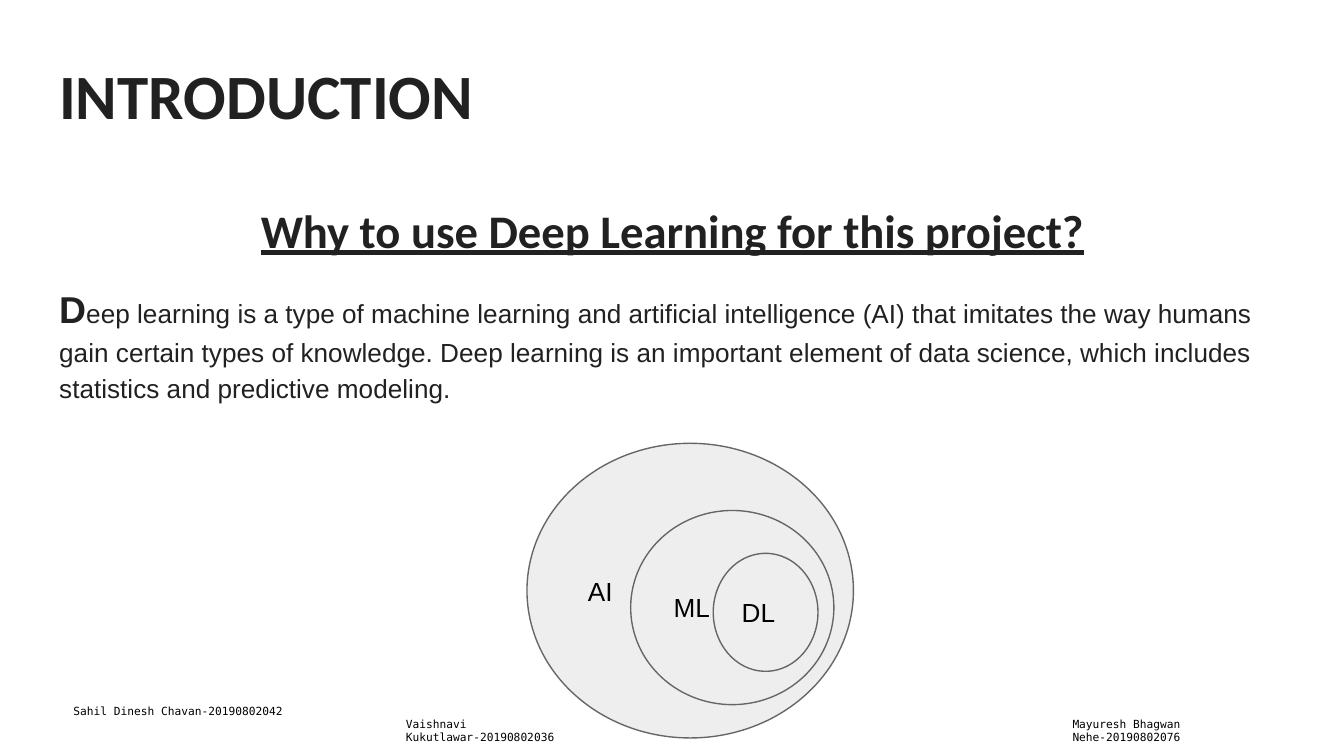
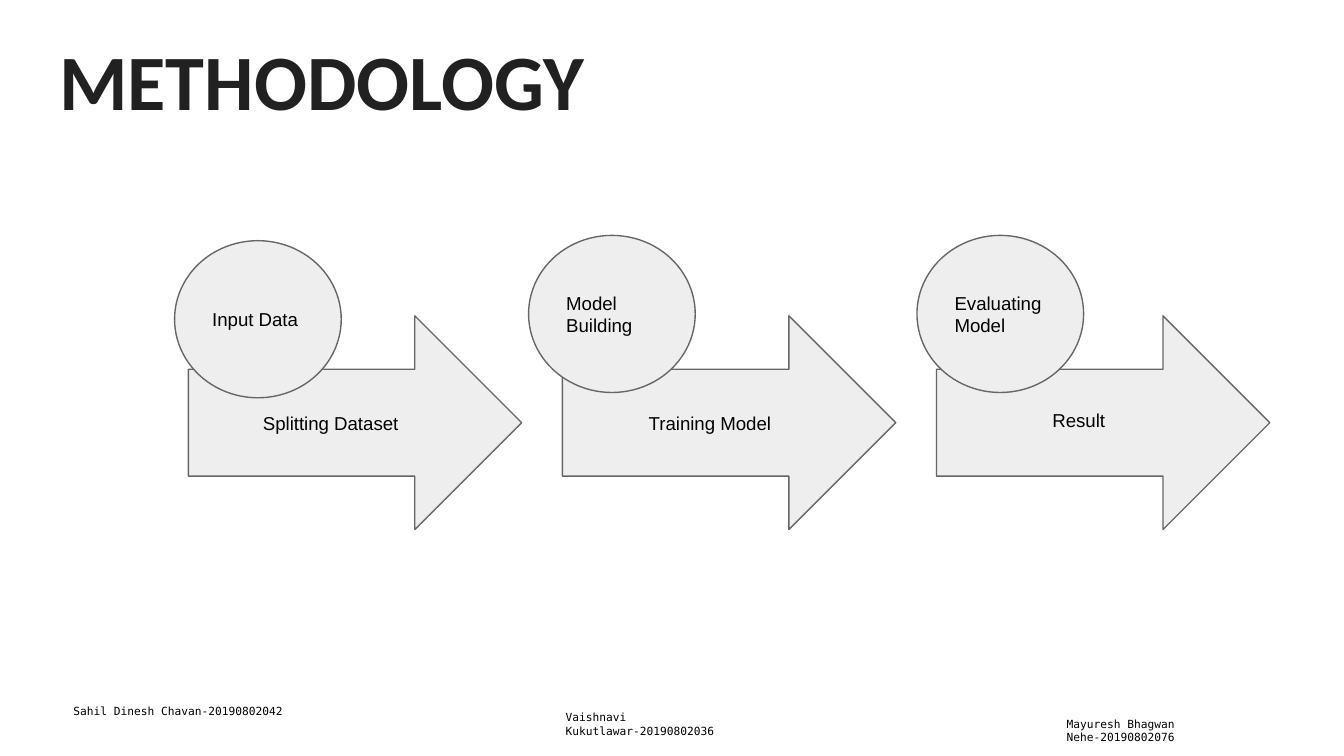
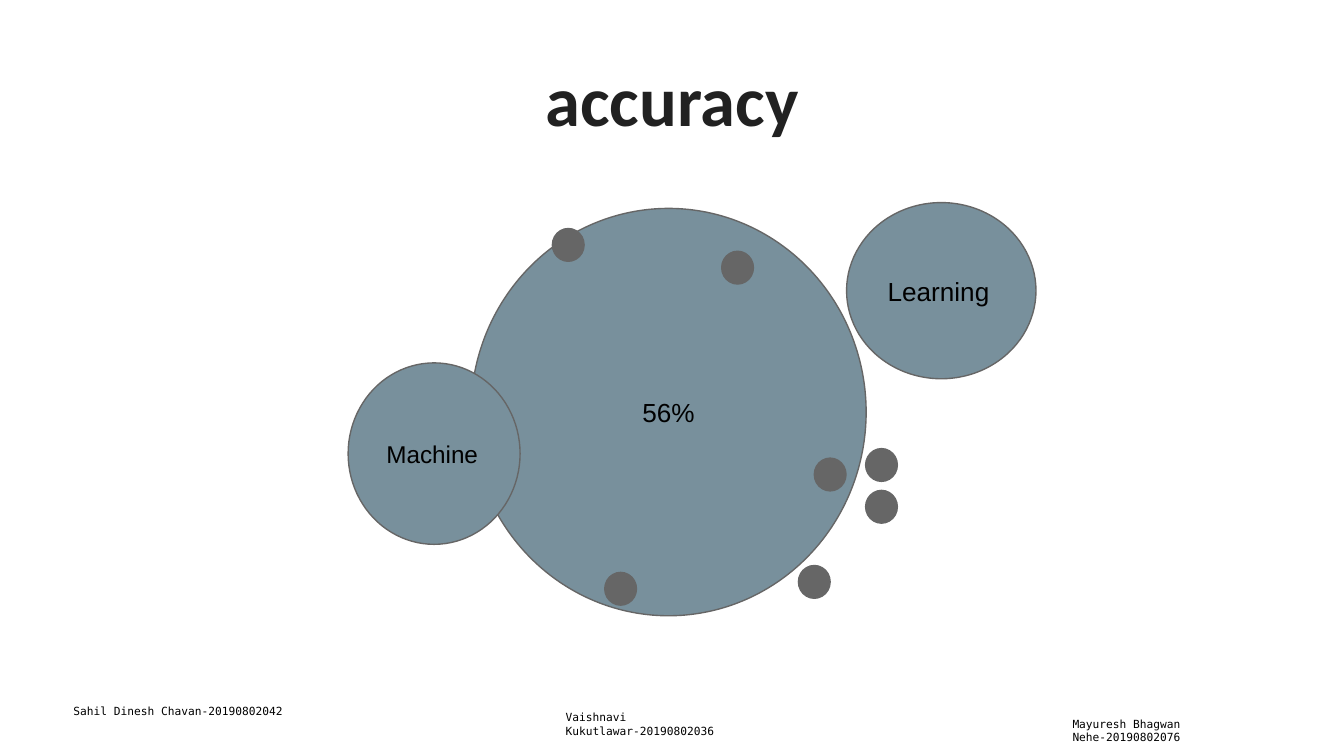
from dataclasses import dataclass

from pptx import Presentation
from pptx.dml.color import RGBColor
from pptx.enum.shapes import MSO_SHAPE
from pptx.enum.text import MSO_ANCHOR, PP_ALIGN
from pptx.util import Cm, Pt


@dataclass(frozen=True)
class Theme:
    ink: str = "212121"
    black: str = "000000"
    pale: str = "EEEEEE"
    slate: str = "78909C"
    gray: str = "666666"
    head: str = "Calibri"
    text: str = "Arial"
    mono: str = "DejaVu Sans Mono"
    title: float = 33.8
    large: float = 42
    accent: float = 37.8
    ask: float = 25
    cap: float = 20
    body: float = 14
    mid: float = 13
    small: float = 10
    foot: float = 6


T = Theme()


def draw(slide, kind, box, fill=None):
    """Add a preset shape, or a text box if kind is None; box is in cm."""
    place = [Cm(n) for n in box]
    if kind is None:
        shape = slide.shapes.add_textbox(*place)
    else:
        shape = slide.shapes.add_shape(kind, *place)
        shape.shadow.inherit = False
        shape.fill.solid()
        shape.fill.fore_color.rgb = RGBColor.from_string(fill)
        shape.line.color.rgb = RGBColor.from_string(T.gray)
        shape.line.width = Pt(0.75)
    frame = shape.text_frame
    frame.word_wrap = True
    frame.vertical_anchor = MSO_ANCHOR.TOP if kind is None else MSO_ANCHOR.MIDDLE
    frame.margin_left = frame.margin_right = Cm(0.25)
    frame.margin_top = frame.margin_bottom = Cm(0.25)
    return frame


def write(para, text, size, font=T.text, color=T.black, bold=False, align=PP_ALIGN.LEFT):
    """Add one run to a paragraph."""
    para.alignment = align
    run = para.add_run()
    run.text = text
    run.font.size = Pt(size)
    run.font.name = font
    run.font.bold = bold
    run.font.color.rgb = RGBColor.from_string(color)
    return run


deck = Presentation()
deck.slide_width, deck.slide_height = Cm(25.4), Cm(14.29)
intro, method, score = [deck.slides.add_slide(deck.slide_layouts[6]) for _ in range(3)]

# Titles
titles = [
    (intro, "INTRODUCTION", 0.81, 2.24, T.title, PP_ALIGN.LEFT),
    (method, "METHODOLOGY", 0.36, 12.32, T.large, PP_ALIGN.LEFT),
    (score, "accuracy", 0.81, 2.24, T.accent, PP_ALIGN.CENTER),
]
for slide, text, top, high, size, align in titles:
    frame = draw(slide, None, (0.87, top, 23.67, high))
    write(frame.paragraphs[0], text, size, T.head, T.ink, True, align)

# Introduction: question and answer
frame = draw(intro, None, (0.87, 3.4, 23.67, 9.27))
ask = frame.paragraphs[0]
ask.line_spacing = 1.15
run = write(ask, "Why to use Deep Learning for this project?",
            T.ask, T.head, T.ink, True, PP_ALIGN.CENTER)
run.font.underline = True
reply = frame.add_paragraph()
reply.line_spacing = 1.15
reply.space_before = reply.space_after = Pt(12)
write(reply, "D", T.cap, color=T.ink, bold=True)
write(reply, "eep learning is a type of machine learning and artificial intelligence (AI) "
             "that imitates the way humans gain certain types of knowledge. Deep learning "
             "is an important element of data science, which includes statistics and "
             "predictive modeling.", T.body, color=T.ink)

# Introduction: nested fields
fields = [
    ("AI", (9.96, 8.38, 6.17, 5.57)),
    ("ML", (11.92, 9.65, 3.84, 3.67)),
    ("DL", (13.48, 10.46, 1.98, 2.23)),
]
for name, box in fields:
    frame = draw(intro, MSO_SHAPE.OVAL, box, T.pale)
    write(frame.paragraphs[0], name, T.body)

# Methodology: an arrow and a circle for each step
steps = [
    ("Input Data", 3.3, 4.55, "Splitting Dataset", 1.41),
    ("Model Building", 9.99, 4.45, "Training Model", 1.63),
    ("Evaluating Model", 17.33, 4.45, None, 0),
]
for i, (name, left, top, stage, inset) in enumerate(steps):
    frame = draw(method, MSO_SHAPE.RIGHT_ARROW, (3.56 + 7.07 * i, 5.97, 6.3, 4.04), T.pale)
    if stage:
        frame.margin_left = Cm(inset)
        write(frame.paragraphs[0], stage, T.small)
    frame = draw(method, MSO_SHAPE.OVAL, (left, top, 3.15, 2.97), T.pale)
    write(frame.paragraphs[0], name, T.small)
frame = draw(method, None, (18.95, 7.52, 6.45, 0.94))
frame.margin_left = Cm(0.94)
write(frame.paragraphs[0], "Result", T.small)

# Accuracy: bubbles
bubbles = [
    ("56%", (8.9, 3.94, 7.47, 7.7), T.body, PP_ALIGN.CENTER),
    ("Machine", (6.58, 6.86, 3.25, 3.43), T.mid, PP_ALIGN.LEFT),
    ("Learning", (16, 3.83, 3.58, 3.33), T.body, PP_ALIGN.LEFT),
]
for text, box, size, align in bubbles:
    frame = draw(score, MSO_SHAPE.OVAL, box, T.slate)
    write(frame.paragraphs[0], text, size, align=align)

# Accuracy: dots
dots = [(10.44, 4.32), (13.64, 4.75), (15.39, 8.66), (11.43, 10.82),
        (16.36, 8.48), (16.36, 9.27), (15.09, 10.69)]
for left, top in dots:
    draw(score, MSO_SHAPE.OVAL, (left, top, 0.6, 0.62), T.gray)

# Footers: middle and right names shift from slide to slide
feet = [
    (intro, (7.42, 13.31), 20.02),
    (method, (10.44, 13.18), 19.91),
    (score, (10.44, 13.18), 20.02),
]
for slide, mid, right in feet:
    names = [
        ("Sahil Dinesh Chavan-20190802042", 1.14, 13.18, 0.76),
        ("Mayuresh Bhagwan Nehe-20190802076", right, 13.31, 1.02),
        ("Vaishnavi Kukutlawar-20190802036", *mid, 1.02),
    ]
    for name, left, top, high in names:
        frame = draw(slide, None, (left, top, 4.52, high))
        write(frame.paragraphs[0], name, T.foot, T.mono)

deck.save("out.pptx")
